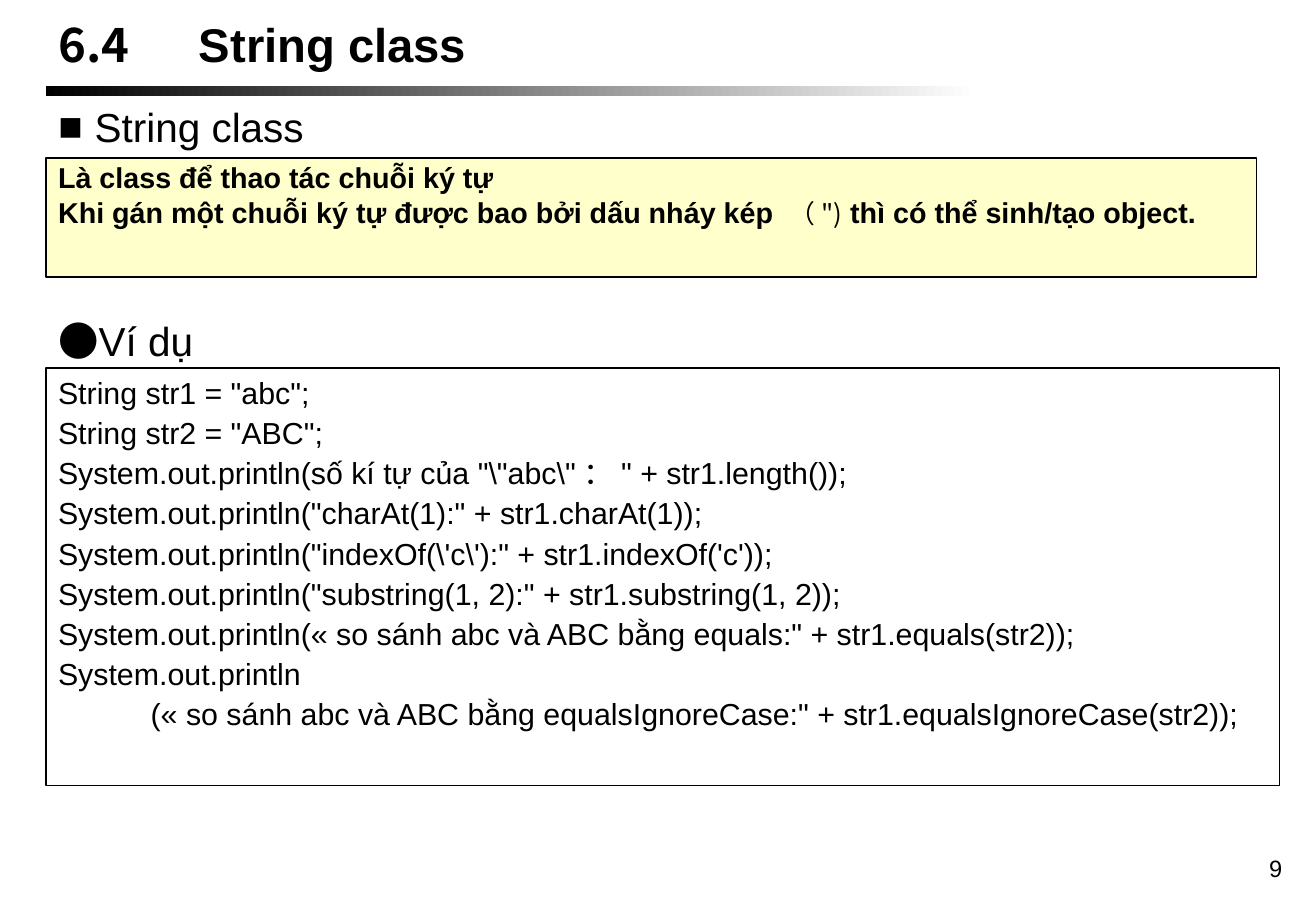
import pptx
import pptx.util
import pptx.dml.color
import pptx.enum.shapes
import pptx.enum.text
import pptx.oxml
import pptx.oxml.ns
from pptx.util import Inches

BLACK = pptx.dml.color.RGBColor(0x00, 0x00, 0x00)
WHITE = pptx.dml.color.RGBColor(0xFF, 0xFF, 0xFF)
PALE_YELLOW = pptx.dml.color.RGBColor(0xFF, 0xFF, 0xCC)
LATIN_FONT = "Arial"
CJK_FONT = "Noto Sans CJK JP"
LEFT = 0.38

CODE_LINES = [
    'String str1 = "abc";',
    'String str2 = "ABC";',
    r'System.out.println(số kí tự của "\"abc\"：" + str1.length());',
    'System.out.println("charAt(1):" + str1.charAt(1));',
    r'''System.out.println("indexOf(\'c\'):" + str1.indexOf('c'));''',
    'System.out.println("substring(1, 2):" + str1.substring(1, 2));',
    'System.out.println(« so sánh abc và ABC bằng equals:" + str1.equals(str2));',
    'System.out.println',
    '           (« so sánh abc và ABC bằng equalsIgnoreCase:" + str1.equalsIgnoreCase(str2));',
]


def place(shape, left, top, width, height):
    shape.left, shape.top = Inches(left), Inches(top)
    shape.width, shape.height = Inches(width), Inches(height)


def format_paragraph(paragraph, size, bold=False, space_before=0):
    paragraph.alignment = pptx.enum.text.PP_ALIGN.LEFT
    paragraph.space_before = pptx.util.Pt(space_before)
    font = paragraph.font
    font.size = pptx.util.Pt(size)
    font.bold = bold
    font.name = LATIN_FONT
    font.color.rgb = BLACK


def add_cjk_run(paragraph, text):
    run = paragraph.add_run()
    run.text = text
    run.font.name = CJK_FONT
    namespace = pptx.oxml.ns.nsdecls("a")
    run._r.get_or_add_rPr().append(
        pptx.oxml.parse_xml(f'<a:ea {namespace} typeface="{CJK_FONT}"/>')
    )
    return run


def set_bullet(paragraph, character=None):
    """Give the paragraph a black bullet, or none, with a hanging indent."""
    properties = paragraph._p.get_or_add_pPr()
    indent = Inches(0.3) if character else 0
    properties.set("marL", str(indent))
    properties.set("indent", str(-indent))
    namespace = pptx.oxml.ns.nsdecls("a")
    if character:
        elements = [
            f'<a:buClr {namespace}><a:srgbClr val="{BLACK}"/></a:buClr>',
            f'<a:buFont {namespace} typeface="{LATIN_FONT}"/>',
            f'<a:buChar {namespace} char="{character}"/>',
        ]
    else:
        elements = [f"<a:buNone {namespace}/>"]
    for element in elements:
        properties.append(pptx.oxml.parse_xml(element))


def fill_title(title):
    place(title, LEFT, 0.09, 10.08, 0.54)
    frame = title.text_frame
    frame.auto_size = pptx.enum.text.MSO_AUTO_SIZE.NONE
    frame.vertical_anchor = pptx.enum.text.MSO_ANCHOR.MIDDLE
    paragraph = frame.paragraphs[0]
    add_cjk_run(paragraph, "6.4　")
    paragraph.add_run().text = "String class"
    format_paragraph(paragraph, 28, bold=True)


def fill_heading(placeholder, top, text, bullet=None, marker=None):
    """Write a section heading with a list bullet or a marker in its text."""
    place(placeholder, LEFT, top, 9.73, 0.48)
    frame = placeholder.text_frame
    frame.auto_size = pptx.enum.text.MSO_AUTO_SIZE.NONE
    paragraph = frame.paragraphs[0]
    set_bullet(paragraph, bullet)
    if marker:
        add_cjk_run(paragraph, marker)
    paragraph.add_run().text = text
    format_paragraph(paragraph, 24)


def add_rectangle(slide, left, top, width, height):
    shape = slide.shapes.add_shape(
        pptx.enum.shapes.MSO_SHAPE.RECTANGLE,
        Inches(left), Inches(top), Inches(width), Inches(height),
    )
    shape.shadow.inherit = False
    return shape


def add_gradient_bar(slide):
    bar = add_rectangle(slide, LEFT, 0.71, 7.67, 0.08)
    bar.line.fill.background()
    bar.fill.gradient()
    bar.fill.gradient_angle = 0
    for stop, color in zip(bar.fill.gradient_stops, (BLACK, WHITE)):
        stop.color.rgb = color


def add_framed_box(slide, top, width, height, line_width):
    box = add_rectangle(slide, LEFT, top, width, height)
    box.fill.background()
    box.line.color.rgb = BLACK
    box.line.width = pptx.util.Pt(line_width)
    box.text_frame.word_wrap = True
    box.text_frame.vertical_anchor = pptx.enum.text.MSO_ANCHOR.TOP
    return box


def add_description(slide):
    box = add_framed_box(slide, 1.3, 9.97, 0.98, 1)
    box.fill.solid()
    box.fill.fore_color.rgb = PALE_YELLOW
    first = box.text_frame.paragraphs[0]
    first.add_run().text = "Là class để thao tác chuỗi ký tự"
    second = box.text_frame.add_paragraph()
    second.add_run().text = "Khi gán một chuỗi ký tự được bao bởi dấu nháy kép "
    quote = add_cjk_run(second, '（")')
    quote.font.size = pptx.util.Pt(15.3)
    quote.font.bold = False
    second.add_run().text = " thì có thể sinh/tạo object."
    for paragraph, space_before in ((first, 0), (second, 2.5)):
        paragraph.line_spacing = 0.9
        format_paragraph(paragraph, 17, bold=True, space_before=space_before)


def add_code(slide):
    frame = add_framed_box(slide, 3.03, 10.16, 3.44, 0.75).text_frame
    frame.margin_right = 0
    for index, line in enumerate(CODE_LINES):
        paragraph = frame.add_paragraph() if index else frame.paragraphs[0]
        paragraph.add_run().text = line
        format_paragraph(paragraph, 18, space_before=2.2 if index else 0)


def add_page_number(slide, number):
    box = slide.shapes.add_textbox(
        Inches(8.33), Inches(6.98), Inches(2.33), Inches(0.52)
    )
    box.text_frame.word_wrap = True
    paragraph = box.text_frame.paragraphs[0]
    paragraph.add_run().text = str(number)
    format_paragraph(paragraph, 14)
    paragraph.alignment = pptx.enum.text.PP_ALIGN.RIGHT


def main():
    presentation = pptx.Presentation()
    presentation.slide_width = Inches(10.84)
    presentation.slide_height = Inches(7.5)
    two_content_layout = presentation.slide_layouts[3]
    slide = presentation.slides.add_slide(two_content_layout)
    class_heading, example_heading = list(slide.placeholders)[1:3]

    fill_title(slide.shapes.title)
    fill_heading(class_heading, 0.79, "String class", bullet="■")
    fill_heading(example_heading, 2.55, "Ví dụ", marker="●")
    add_gradient_bar(slide)
    add_description(slide)
    add_code(slide)
    add_page_number(slide, 9)
    presentation.save("out.pptx")


if __name__ == "__main__":
    main()
